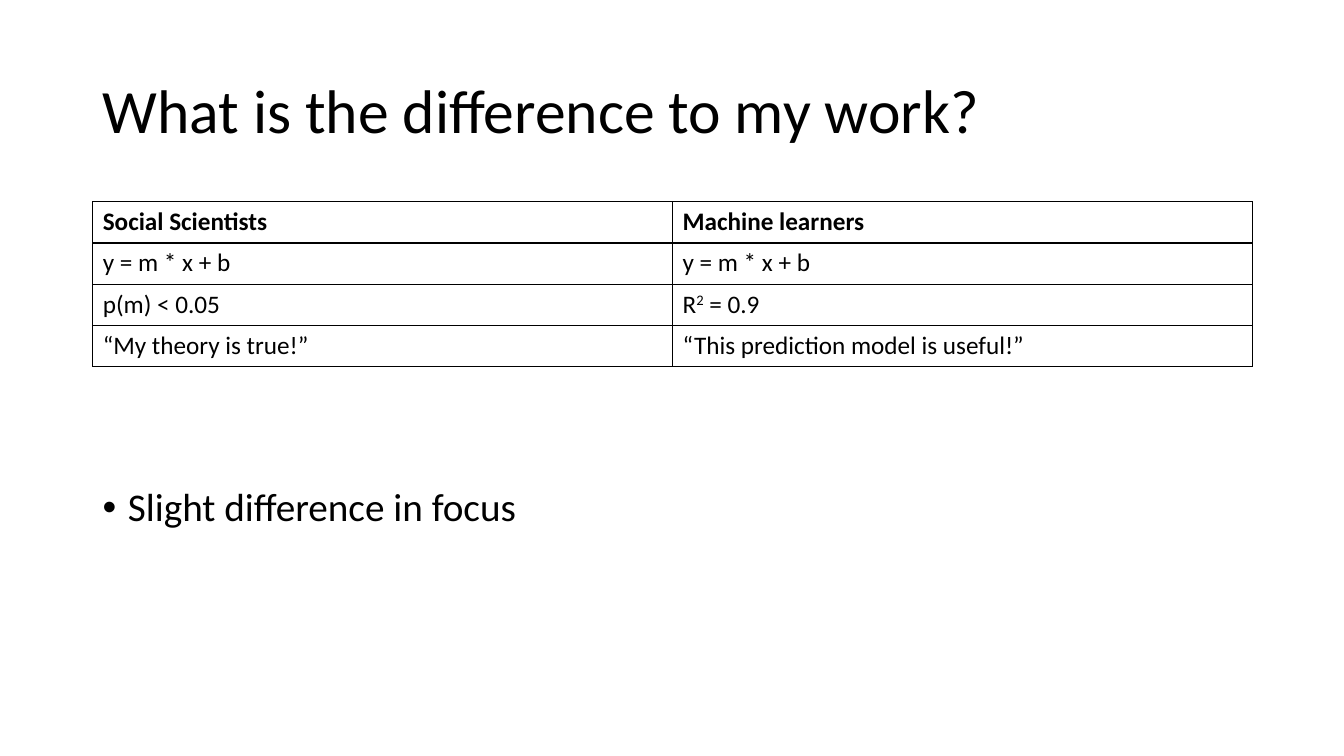
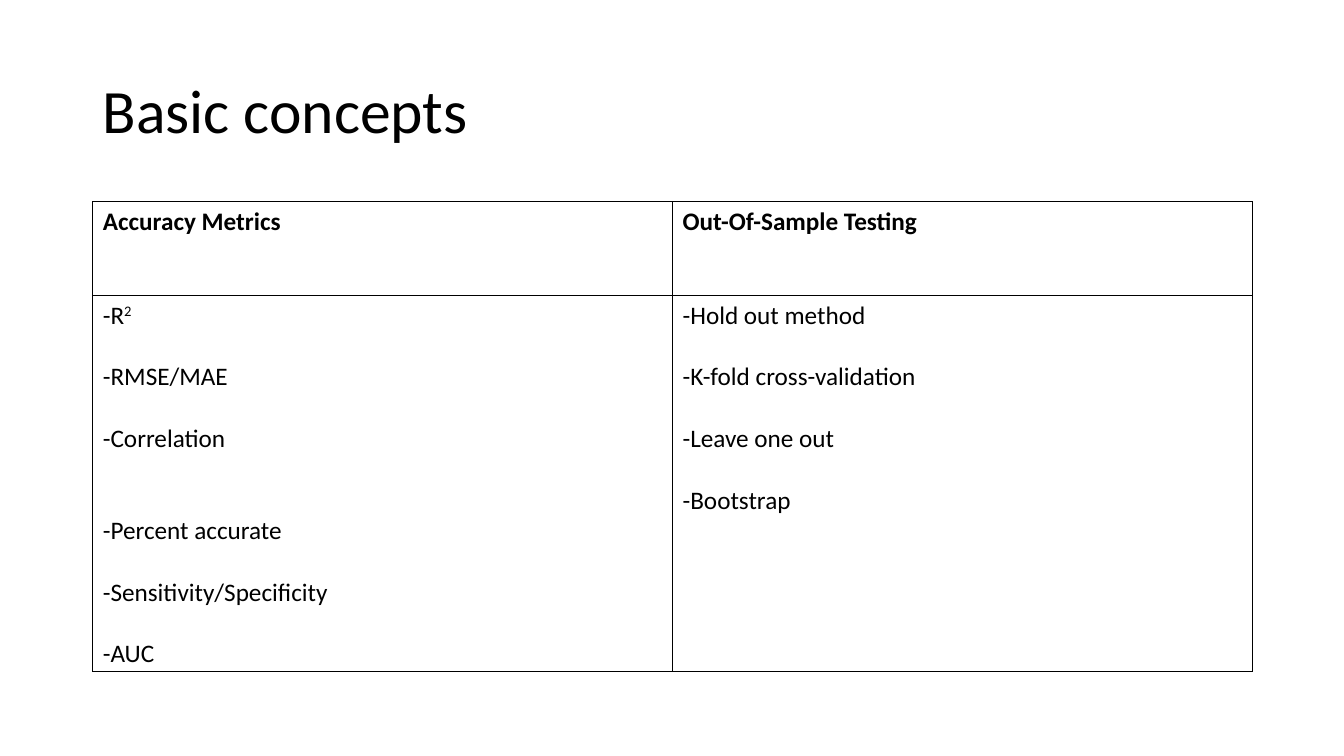
from dataclasses import dataclass

from lxml import etree
from pptx import Presentation
from pptx import util as u
from pptx.dml.color import RGBColor
from pptx.enum import text
from pptx.oxml import ns

BLACK = RGBColor(0x00, 0x00, 0x00)
WHITE = RGBColor(0xFF, 0xFF, 0xFF)
FONT = "Calibri"
LEFT, WIDTH = u.Inches(0.92), u.Inches(11.5)
TABLE_TOP = u.Inches(2)
TABLE_SIZE = 18
BLANK_LINE = 22  # points, one line of table text


@dataclass(frozen=True)
class Line:
    """A paragraph; text between carets is superscript."""
    text: str
    space_before: float = 0


@dataclass(frozen=True)
class TableRow:
    height: float
    cells: tuple[tuple[Line, ...], ...]


def row(height: float, *texts: str) -> TableRow:
    return TableRow(height, tuple((Line(content),) for content in texts))


def spaced(*texts: str, wide_before: str = "") -> tuple[Line, ...]:
    """Lines one blank line apart, with a double gap before one of them."""
    return tuple(
        Line(content, 0 if index == 0 else BLANK_LINE * (2 if content == wide_before else 1))
        for index, content in enumerate(texts))


COMPARISON = (
    row(0.41, "Social Scientists", "Machine learners"),
    row(0.41, "y = m * x + b", "y = m * x + b"),
    row(0.41, "p(m) < 0.05", "R^2^ = 0.9"),
    row(0.41, "“My theory is true!”", "“This prediction model is useful!”"),
)
CONCEPTS = (
    row(0.93, "Accuracy Metrics", "Out-Of-Sample Testing"),
    TableRow(3.7, (
        spaced("-R^2^", "-RMSE/MAE", "-Correlation", "-Percent accurate",
               "-Sensitivity/Specificity", "-AUC", wide_before="-Percent accurate"),
        spaced("-Hold out method", "-K-fold cross-validation", "-Leave one out", "-Bootstrap"),
    )),
)


def add_bullet(paragraph, indent: float) -> None:
    properties = paragraph._p.get_or_add_pPr()
    properties.set("marL", str(u.Inches(indent)))
    properties.set("indent", str(-u.Inches(indent)))
    etree.SubElement(properties, ns.qn("a:buFont"), typeface="Arial")
    etree.SubElement(properties, ns.qn("a:buChar"), char="•")


def write(paragraph, content: str, *, size: float, bold: bool = False,
          line_spacing: float = 1.0, space_before: float = 0, bullet: bool = False) -> None:
    if bullet:
        add_bullet(paragraph, 0.25)
    paragraph.alignment = text.PP_ALIGN.LEFT
    paragraph.line_spacing = line_spacing
    paragraph.space_before = u.Pt(space_before)
    for index, part in enumerate(content.split("^")):
        if not part:
            continue
        run = paragraph.add_run()
        run.text = part
        run.font.name = FONT
        run.font.size = u.Pt(size)
        run.font.bold = bold
        run.font.color.rgb = BLACK
        if index % 2:
            run._r.get_or_add_rPr().set("baseline", "30000")


def add_text(slide, content: str, top: float, height: float, *, size: float,
             anchor=text.MSO_ANCHOR.TOP, bullet: bool = False) -> None:
    box = slide.shapes.add_textbox(LEFT, u.Inches(top), WIDTH, u.Inches(height))
    box.text_frame.word_wrap = True
    box.text_frame.vertical_anchor = anchor
    write(box.text_frame.paragraphs[0], content, size=size, line_spacing=0.9, bullet=bullet)


def add_borders(cell) -> None:
    properties = cell._tc.get_or_add_tcPr()
    for side in ("lnL", "lnR", "lnT", "lnB"):
        line = etree.SubElement(properties, ns.qn(f"a:{side}"), w=str(u.Pt(1)))
        fill = etree.SubElement(line, ns.qn("a:solidFill"))
        etree.SubElement(fill, ns.qn("a:srgbClr"), val=str(BLACK))


def add_table(slide, rows: tuple[TableRow, ...]) -> None:
    """Table with a bold first row and thin black borders."""
    height = u.Inches(sum(table_row.height for table_row in rows))
    table = slide.shapes.add_table(
        len(rows), len(rows[0].cells), LEFT, TABLE_TOP, WIDTH, height).table
    table.first_row = table.horz_banding = False
    for row_index, table_row in enumerate(rows):
        table.rows[row_index].height = u.Inches(table_row.height)
        for column_index, lines in enumerate(table_row.cells):
            cell = table.cell(row_index, column_index)
            add_borders(cell)
            cell.fill.solid()
            cell.fill.fore_color.rgb = WHITE
            for index, line in enumerate(lines):
                frame = cell.text_frame
                paragraph = frame.add_paragraph() if index else frame.paragraphs[0]
                write(paragraph, line.text, size=TABLE_SIZE, bold=row_index == 0,
                      space_before=line.space_before)


def add_slide(presentation, title: str, rows: tuple[TableRow, ...]):
    """Blank slide with the shared title style and a table."""
    slide = presentation.slides.add_slide(presentation.slide_layouts[6])
    add_text(slide, title, 0.4, 1.45, size=44, anchor=text.MSO_ANCHOR.MIDDLE)
    add_table(slide, rows)
    return slide


def main() -> None:
    presentation = Presentation()
    presentation.slide_width = u.Inches(13.33)
    presentation.slide_height = u.Inches(7.5)
    difference = add_slide(presentation, "What is the difference to my work?", COMPARISON)
    add_text(difference, "Slight difference in focus", 4.79, 0.82, size=28, bullet=True)
    add_slide(presentation, "Basic concepts", CONCEPTS)
    presentation.save("out.pptx")


if __name__ == "__main__":
    main()
